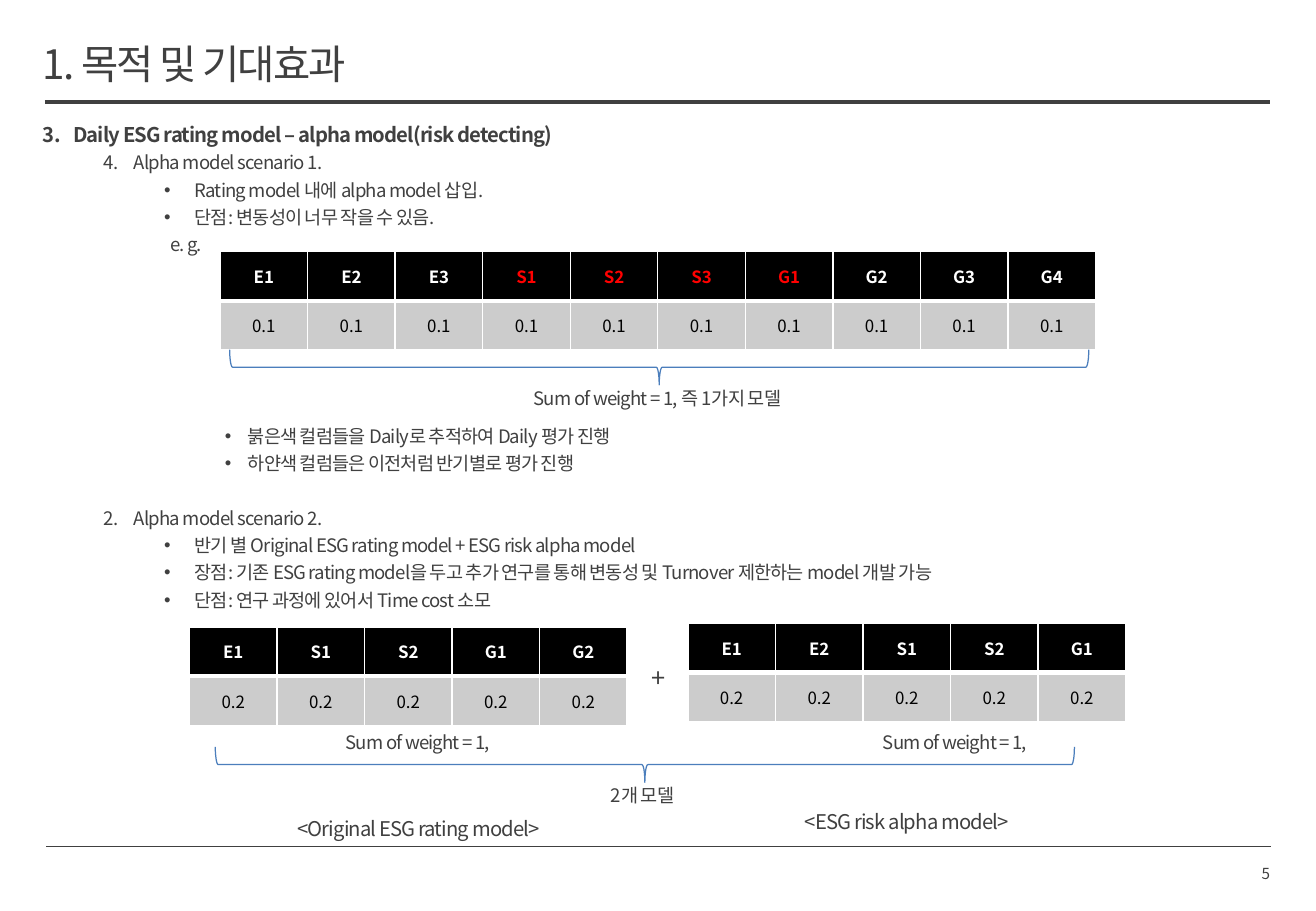
from lxml.etree import SubElement
from pptx import Presentation
from pptx.dml.color import RGBColor
from pptx.enum.shapes import MSO_CONNECTOR, MSO_SHAPE
from pptx.enum.text import MSO_ANCHOR, PP_ALIGN
from pptx.oxml.ns import qn
from pptx.util import Cm, Pt

FONT = "Noto Sans CJK KR"
INK, WHITE, BLACK, RED = "404040", "FFFFFF", "000000", "FF0000"
GRAY, BLUE = "CCCCCC", "4B7EBC"
LEADING = 1.2
PARA_GAP = 3
CELL_W, CELL_H = 1.83, 1.03

# left indent and hanging indent in cm
INDENTS = {
    "heading": (0.64, -0.64),
    "scenario": (1.91, -0.64),
    "point": (3.18, -0.64),
    "example": (2.67, 0),
    "detail": (4.29, -0.48),
}
# style, marker (a number or a bullet), lines left free above, text
OUTLINE = [
    ("heading", 3, 0, "Daily ESG rating model – alpha model(risk detecting)"),
    ("scenario", 1, 0, "Alpha model scenario 1."),
    ("point", "•", 0, "Rating model 내에 alpha model 삽입."),
    ("point", "•", 0, "단점: 변동성이 너무 작을 수 있음."),
    ("example", None, 0, "e. g."),
    ("detail", "•", 6, "붉은색 컬럼들을 Daily로 추적하여 Daily 평가 진행"),
    ("detail", "•", 0, "하얀색 컬럼들은 이전처럼 반기별로 평가 진행"),
    ("scenario", 2, 1, "Alpha model scenario 2."),
    ("point", "•", 0, "반기 별 Original ESG rating model + ESG risk alpha model"),
    ("point", "•", 0, "장점: 기존 ESG rating model을 두고 추가 연구를 통해 변동성 및 "
                      "Turnover 제한하는 model 개발 가능"),
    ("point", "•", 0, "단점: 연구 과정에 있어서 Time cost 소모"),
]
# left, top, columns, weight, columns in red
TABLES = [
    (3.96, 13.11, ["E1", "S1", "S2", "G1", "G2"], "0.2", []),
    (14.38, 13.03, ["E1", "E2", "S1", "S2", "G1"], "0.2", []),
    (4.6, 5.26, ["E1", "E2", "E3", "S1", "S2", "S3", "G1", "G2", "G3", "G4"],
     "0.1", ["S1", "S2", "S3", "G1"]),
]
# left, top, width, size, text
LABELS = [
    (13.13, 13.79, 1.27, 15, "+"),
    (4.37, 17.02, 8.76, 12, "<Original ESG rating model>"),
    (14.58, 16.89, 8.76, 12, "<ESG risk alpha model>"),
    (10.95, 8.05, 5.59, 11, "Sum of weight = 1, 즉 1가지 모델"),
    (5.94, 15.24, 5.59, 11, "Sum of weight = 1,"),
    (17.17, 15.24, 5.59, 11, "Sum of weight = 1,"),
    (10.64, 16.36, 5.59, 11, "2개 모델"),
]
BRACES = [(13.41, -1.3), (13.11, 7.01)]
RULES = [(0.97, 26.57, 17.7, 0.5), (0.94, 26.54, 2.13, 2)]


def rgb(value):
    return RGBColor.from_string(value)


def add_run(p, text, size, color=INK, bold=False, spacing=0):
    r = p.add_run()
    r.text = text
    r.font.size = Pt(size)
    r.font.bold = bold
    r.font.color.rgb = rgb(color)
    r.font.name = FONT
    rPr = r.font._element
    SubElement(rPr, qn("a:ea")).set("typeface", FONT)
    if spacing:
        rPr.set("spc", str(round(spacing * 100)))


def add_box(s, left, top, width, height, size):
    """Add an empty text box whose first line sits right for the text size."""
    tf = s.shapes.add_textbox(Cm(left), Cm(top), Cm(width), Cm(height)).text_frame
    tf.word_wrap = True
    tf.margin_left = tf.margin_right = tf.margin_bottom = 0
    tf.margin_top = Pt(size * 0.1)
    tf.paragraphs[0].line_spacing = Pt(size * LEADING)
    return tf


def add_label(s, left, top, width, size, text, align=PP_ALIGN.CENTER, spacing=-0.5):
    height = Pt(size * LEADING).cm
    p = add_box(s, left, top, width, height, size).paragraphs[0]
    p.alignment = align
    add_run(p, text, size, spacing=spacing)


def set_marker(p, style, marker):
    """Indent the paragraph and give it a number or a bullet."""
    pPr = p._p.get_or_add_pPr()
    left, hang = INDENTS[style]
    pPr.set("marL", str(Cm(left)))
    pPr.set("indent", str(Cm(hang)))
    if isinstance(marker, int):
        number = SubElement(pPr, qn("a:buAutoNum"))
        number.set("type", "arabicPeriod")
        number.set("startAt", str(marker))
    elif marker:
        SubElement(pPr, qn("a:buFont")).set("typeface", "Arial")
        SubElement(pPr, qn("a:buChar")).set("char", marker)


def add_outline(s):
    tf = add_box(s, 0.89, 2.51, 25.65, 14.94, 12)
    for i, (style, marker, free_lines, text) in enumerate(OUTLINE):
        p = tf.add_paragraph() if i else tf.paragraphs[0]
        heading = style == "heading"
        size = 12 if heading else 11
        line = size * LEADING
        p.line_spacing = Pt(line)
        p.space_before = Pt(PARA_GAP + free_lines * (line + PARA_GAP))
        set_marker(p, style, marker)
        add_run(p, text, size, bold=heading, spacing=-0.5)


def set_borders(cell, widths):
    tcPr = cell._tc.get_or_add_tcPr()
    for i, (side, width) in enumerate(widths.items()):
        ln = tcPr.makeelement(qn("a:ln" + side), {"w": str(Pt(width))})
        fill = SubElement(ln, qn("a:solidFill"))
        SubElement(fill, qn("a:srgbClr")).set("val", WHITE)
        tcPr.insert(i, ln)


def fill_cell(cell, text, fill, color, bold, borders):
    cell.fill.solid()
    cell.fill.fore_color.rgb = rgb(fill)
    cell.vertical_anchor = MSO_ANCHOR.MIDDLE
    p = cell.text_frame.paragraphs[0]
    p.alignment = PP_ALIGN.CENTER
    add_run(p, text, 10, color, bold)
    set_borders(cell, borders)


def add_weights(s, left, top, names, weight, red):
    n = len(names)
    table = s.shapes.add_table(2, n, Cm(left), Cm(top),
                               Cm(n * CELL_W), Cm(2 * CELL_H)).table
    for row in table.rows:
        row.height = Cm(CELL_H)
    for i, name in enumerate(names):
        table.columns[i].width = Cm(CELL_W)
        fill_cell(table.cell(0, i), name, BLACK, RED if name in red else WHITE,
                  True, {"L": 1, "R": 1, "T": 1, "B": 3})
        fill_cell(table.cell(1, i), weight, GRAY, BLACK,
                  False, {"L": 1, "R": 1, "T": 3, "B": 1})


def add_brace(s, left, top):
    sp = s.shapes.add_shape(MSO_SHAPE.RIGHT_BRACE, Cm(left), Cm(top), Cm(0.74), Cm(17.96))
    sp.rotation = 90
    sp.shadow.inherit = False
    sp.fill.background()
    sp.line.color.rgb = rgb(BLUE)
    sp.line.width = Pt(0.75)


def add_rule(s, x1, x2, y, width):
    line = s.shapes.add_connector(MSO_CONNECTOR.STRAIGHT, Cm(x1), Cm(y), Cm(x2), Cm(y))
    line.line.color.rgb = rgb(INK)
    line.line.width = Pt(width)
    SubElement(line._element.spPr, qn("a:effectLst"))


def main():
    prs = Presentation()
    prs.slide_width, prs.slide_height = Cm(27.51), Cm(19.05)
    s = prs.slides.add_slide(prs.slide_layouts[6])
    for rule in RULES:
        add_rule(s, *rule)
    add_label(s, 20.12, 18.05, 6.43, 9, "5", PP_ALIGN.RIGHT, 0)
    add_outline(s)
    add_label(s, 0.89, 0.74, 17.65, 24, "1. 목적 및 기대효과", PP_ALIGN.LEFT, -1.1)
    for table in TABLES:
        add_weights(s, *table)
    for brace in BRACES:
        add_brace(s, *brace)
    for label in LABELS:
        add_label(s, *label)
    prs.save("out.pptx")


if __name__ == "__main__":
    main()
